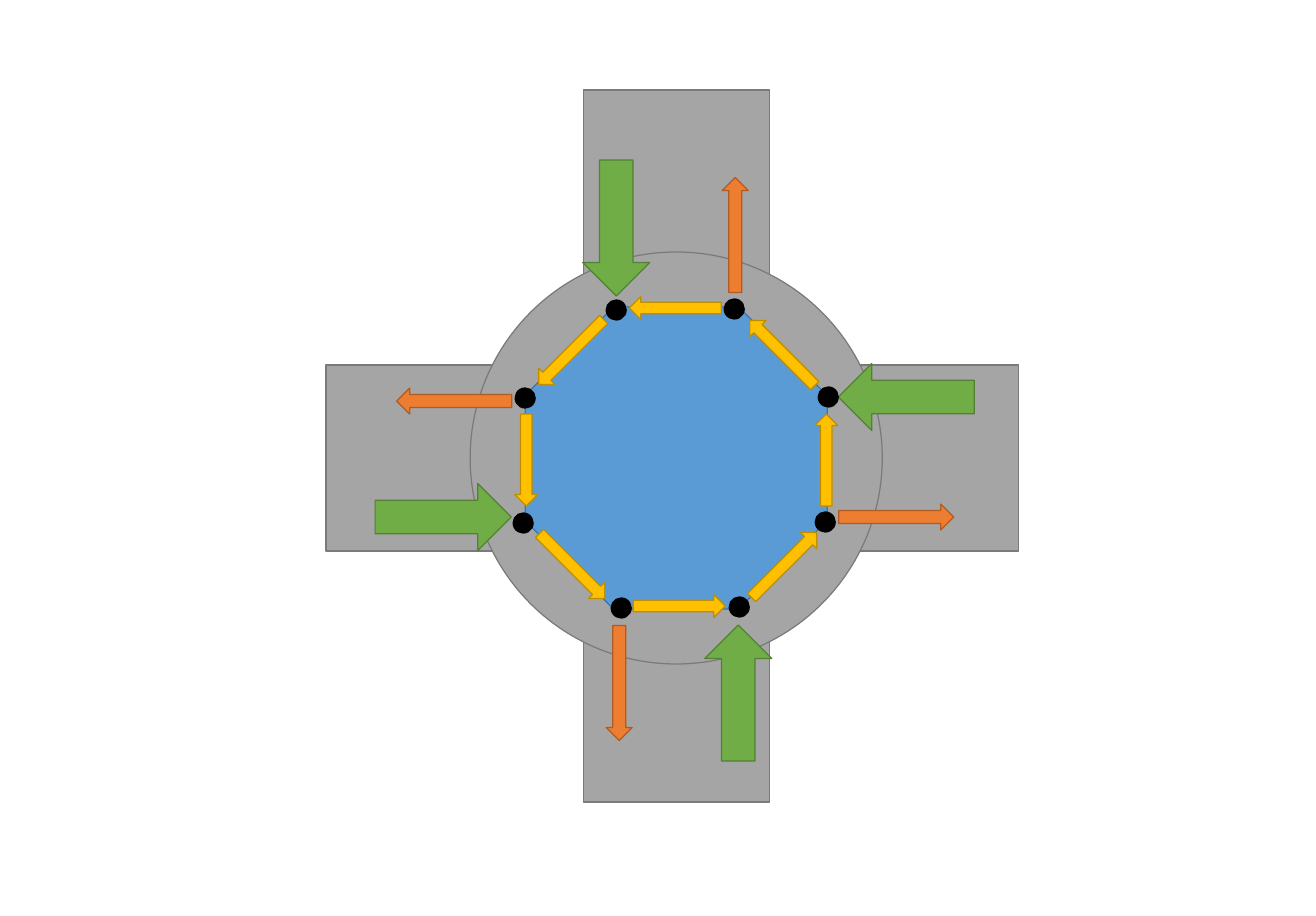
import pptx
import pptx.dml.color
import pptx.enum.shapes
import pptx.util

EMU_PER_PX = 914400 / 89.8
SHAPES = pptx.enum.shapes.MSO_SHAPE

# Fill and outline of each part
COLOURS = {
    "road": ("A5A5A5", "7A7A7A"),
    "island": ("5B9BD5", "43739E"),
    "entry": ("70AD47", "538035"),
    "exit": ("ED7D31", "AF5C24"),
    "node": ("000000", "000000"),
    "ring": ("FFC000", "BD8E00"),
}

# Arrow length and height
ARROW_SIZES = {"entry": (136, 67), "exit": (115, 26), "ring": (92, 23)}

# Arrow centres with their clockwise rotation from pointing right
ARROWS = {
    "entry": [(906, 397, 180), (738, 693, 270), (443, 517, 0), (616, 228, 90)],
    "exit": [(896, 517, 0), (735, 235, 270), (454, 401, 180), (619, 683, 90)],
    "ring": [
        (675, 308, 180), (679, 606, 0), (826, 460, 270), (526, 460, 90),
        (571, 352, 135), (784, 565, 315), (782, 353, 225), (572, 566, 45),
    ],
}

NODE_SIZE = 20
NODE_CENTRES = [
    (616, 310), (734, 309), (621, 608), (739, 607),
    (525, 398), (523, 523), (828, 397), (825, 522),
]


def px(length):
    """Turn pixels into EMU."""
    return pptx.util.Emu(round(length * EMU_PER_PX))


def add_part(slide, preset, role, centre, size, rotation=0):
    """Add a preset shape around its centre, in the colours of its role."""
    (x, y), (width, height) = centre, size
    part = slide.shapes.add_shape(
        preset, px(x - width / 2), px(y - height / 2), px(width), px(height))
    fill, outline = COLOURS[role]
    part.shadow.inherit = False
    part.rotation = rotation
    part.fill.solid()
    part.fill.fore_color.rgb = pptx.dml.color.RGBColor.from_string(fill)
    part.line.color.rgb = pptx.dml.color.RGBColor.from_string(outline)
    part.line.width = pptx.util.Pt(1)


def add_roundabout(slide):
    """Draw the crossing roads, the circular road and the central island."""
    add_part(slide, SHAPES.RECTANGLE, "road", (676, 446), (712, 186), 270)
    add_part(slide, SHAPES.RECTANGLE, "road", (672, 458), (692, 186))
    add_part(slide, SHAPES.OVAL, "road", (676, 458), (412, 412))
    add_part(slide, SHAPES.OCTAGON, "island", (676, 458), (302, 302))


def add_flow(slide, role):
    """Draw all traffic arrows of one role."""
    for x, y, rotation in ARROWS[role]:
        add_part(slide, SHAPES.RIGHT_ARROW, role, (x, y), ARROW_SIZES[role], rotation)


def add_nodes(slide):
    """Draw the dots where traffic enters or leaves the ring."""
    for centre in NODE_CENTRES:
        add_part(slide, SHAPES.OVAL, "node", centre, (NODE_SIZE, NODE_SIZE))


def main():
    """Build the roundabout slide and save it."""
    deck = pptx.Presentation()
    deck.slide_width = pptx.util.Inches(14.65)
    deck.slide_height = pptx.util.Inches(10.2)
    slide = deck.slides.add_slide(deck.slide_layouts[6])
    add_roundabout(slide)
    add_flow(slide, "entry")
    add_flow(slide, "exit")
    add_nodes(slide)
    add_flow(slide, "ring")
    deck.save("out.pptx")


main()
